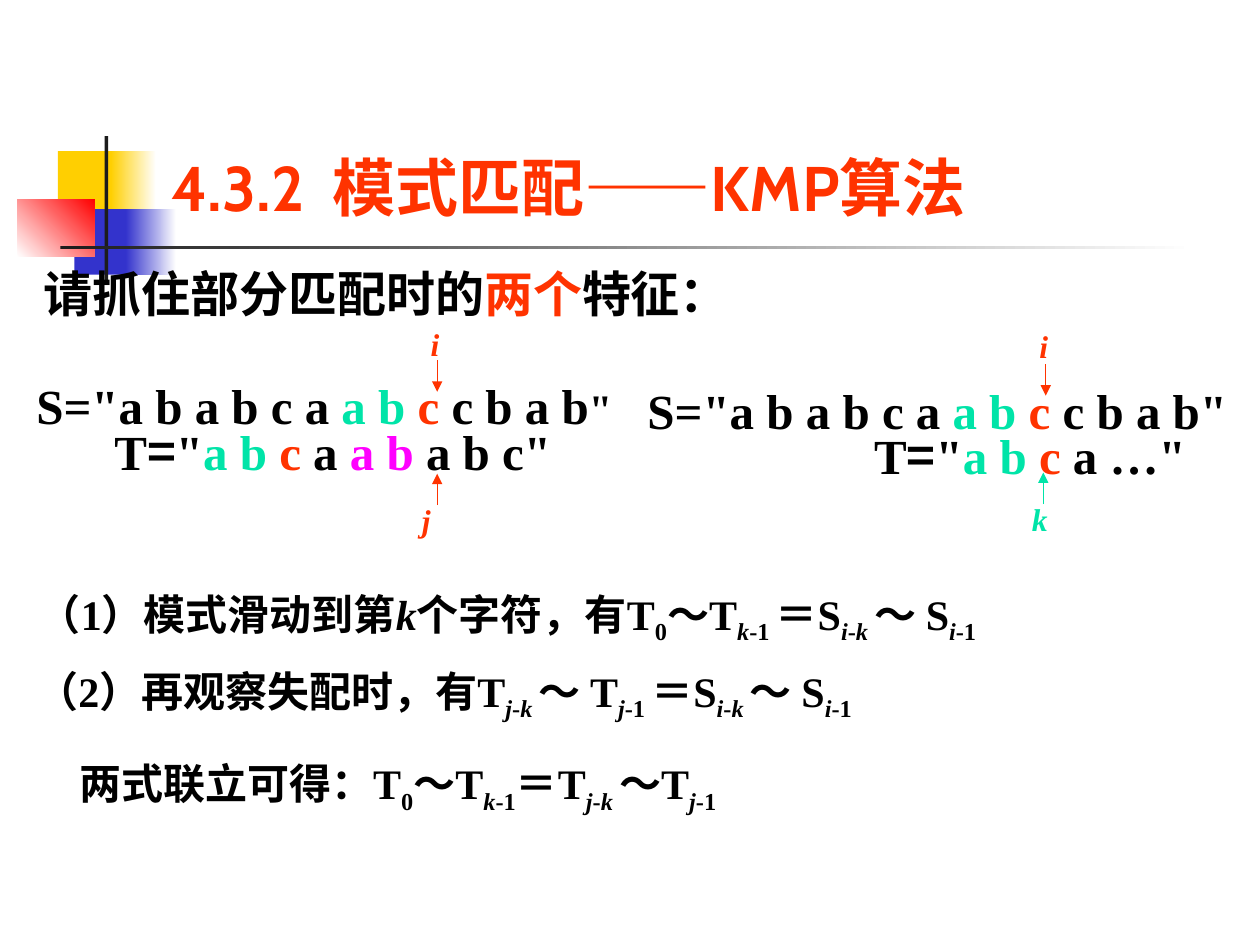
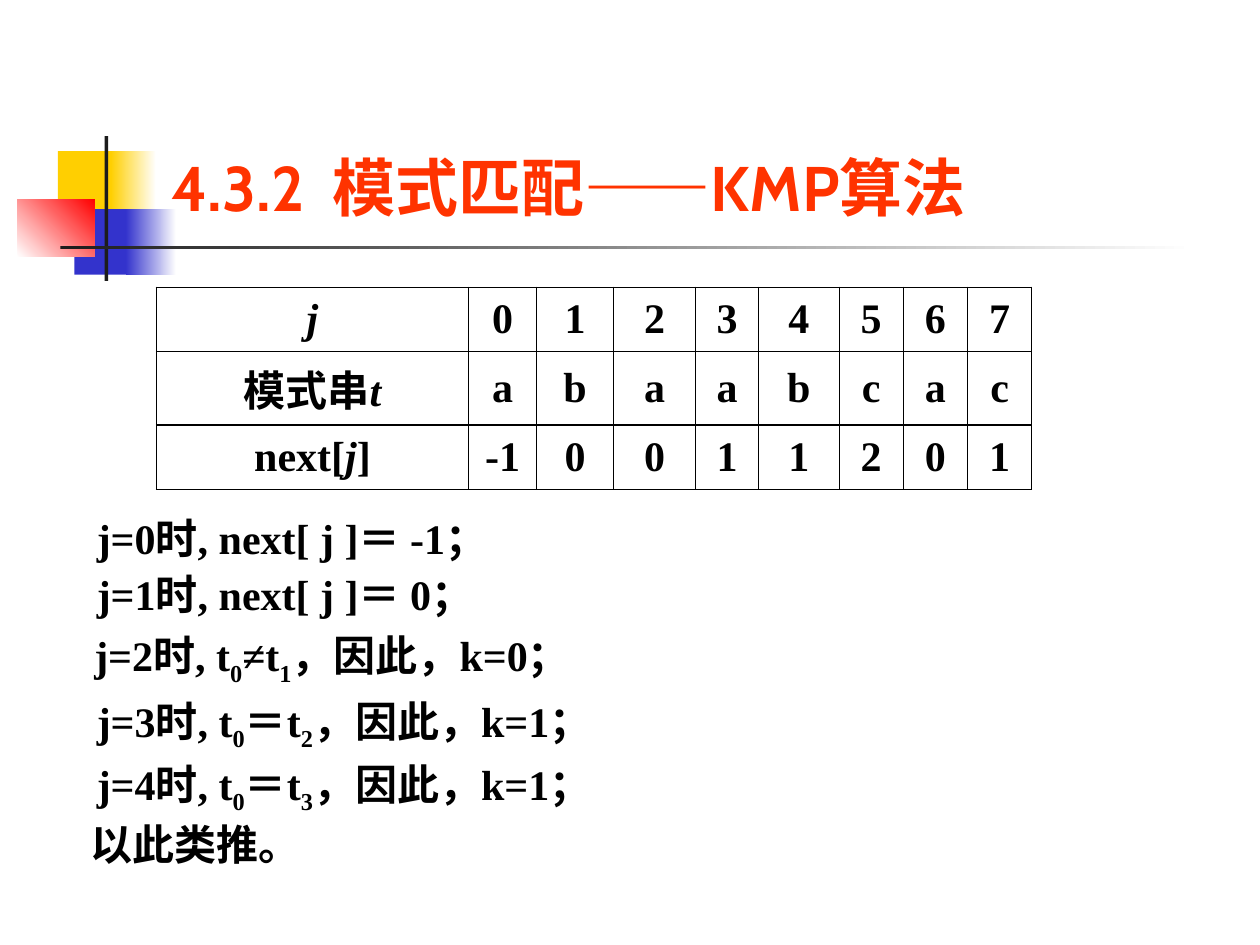
import itertools

import lxml.etree
import pptx
import pptx.dml.color
import pptx.enum.dml
import pptx.enum.shapes
import pptx.enum.text
import pptx.oxml.ns
import pptx.util

Inches = pptx.util.Inches
Pt = pptx.util.Pt

BLACK, WHITE = "000000", "FFFFFF"
RED, GREEN, PINK = "FF3300", "00E4A8", "FF00FF"
GOLD, BLUE, ROSE, DARK = "FFCF01", "3333CC", "FF0000", "1C1C1C"
SERIF, SANS, HEAD = "Times New Roman", "Noto Sans CJK SC", "Cabin"

# left, top, width, height, first colour, last colour, angle
BANDS = [
    (0.46, 1.2, 0.48, 0.52, GOLD, None, 0),
    (0.88, 1.2, 0.36, 0.52, GOLD, WHITE, 0),
    (0.59, 1.66, 0.46, 0.52, BLUE, None, 0),
    (1, 1.66, 0.4, 0.52, BLUE, WHITE, 0),
    (0.14, 1.58, 0.61, 0.46, WHITE, ROSE, 45),
    (0.83, 1.08, 0.03, 1.15, DARK, None, 0),
    (0.48, 1.95, 9, 0.03, DARK, WHITE, 0),
]


def color(code):
    return pptx.dml.color.RGBColor.from_string(code)


def tag(parent, name, **attrs):
    """Append a drawing element to parent."""
    return lxml.etree.SubElement(parent, pptx.oxml.ns.qn("a:" + name), **attrs)


def span(text, **form):
    """A piece of text with its format: size, font, tint, slant, base."""
    return text, form


def term(name, index):
    """A symbol with its index set low, the index letters in italics."""
    parts = itertools.groupby(index, str.isalpha)
    return [span(name)] + [span("".join(chars), slant=slant, base="-25000")
                           for slant, chars in parts]


def write(par, spans, **common):
    for text, form in spans:
        form = {"size": 24, "font": SERIF, "tint": BLACK, "slant": False,
                "base": None, **common, **form}
        run = par.add_run()
        run.text = text
        font = run.font
        font.size = Pt(form["size"])
        font.bold = True
        font.italic = form["slant"]
        font.color.rgb = color(form["tint"])
        font.name = form["font"]
        props = run._r.get_or_add_rPr()
        tag(props, "ea", typeface=SANS)
        if form["base"]:
            props.set("baseline", form["base"])


class Deck:
    def __init__(self):
        self.show = pptx.Presentation()
        self.show.slide_width = Inches(10)
        self.show.slide_height = Inches(7.5)
        self.slide = None

    def start(self):
        """Open a slide with the shared bands and title."""
        self.slide = self.show.slides.add_slide(self.show.slide_layouts[5])
        for band in BANDS:
            self.band(*band)
        self.title([span("4.3.2  模式匹配"), span("——", font="Arial"),
                    span("KMP算法")])

    def band(self, x, y, w, h, first, last, angle):
        shape = self.slide.shapes.add_shape(
            pptx.enum.shapes.MSO_SHAPE.RECTANGLE,
            Inches(x), Inches(y), Inches(w), Inches(h))
        shape.shadow.inherit = False
        shape.line.fill.background()
        if last is None:
            shape.fill.solid()
            shape.fill.fore_color.rgb = color(first)
            return
        shape.fill.gradient()
        shape.fill.gradient_angle = angle
        for stop, code in zip(shape.fill.gradient_stops, (first, last)):
            stop.color.rgb = color(code)

    def title(self, spans):
        title = self.slide.shapes.title
        title.left, title.top = Inches(1.26), Inches(0.23)
        title.width, title.height = Inches(8.52), Inches(1.6)
        frame = title.text_frame
        frame.auto_size = pptx.enum.text.MSO_AUTO_SIZE.NONE
        frame.vertical_anchor = pptx.enum.text.MSO_ANCHOR.BOTTOM
        par = frame.paragraphs[0]
        par.alignment = pptx.enum.text.PP_ALIGN.LEFT
        write(par, spans, size=36, font=HEAD, tint=RED)
        title.element.getparent().append(title.element)  # bring to front

    def text(self, x, y, w, h, *lines, space=None, **form):
        box = self.slide.shapes.add_textbox(
            Inches(x), Inches(y), Inches(w), Inches(h))
        frame = box.text_frame
        frame.word_wrap = True
        frame.auto_size = pptx.enum.text.MSO_AUTO_SIZE.SHAPE_TO_FIT_TEXT
        for n, spans in enumerate(lines):
            par = frame.add_paragraph() if n else frame.paragraphs[0]
            if space:
                par.line_spacing = space
            write(par, spans, **form)

    def arrow(self, x, start, end, tint):
        """An upright arrow at x."""
        line = self.slide.shapes.add_connector(
            pptx.enum.shapes.MSO_CONNECTOR.STRAIGHT,
            Inches(x), Inches(start), Inches(x), Inches(end))
        line.line.color.rgb = color(tint)
        line.line.width = Pt(0.75)
        tag(line.line._get_or_add_ln(), "tailEnd", type="triangle")
        tag(line.element.spPr, "effectLst")

    def mark(self, name, x, y, stem, start, step, tint=RED):
        """An index letter and its arrow."""
        self.text(x, y, 0.35, 0.4, [span(name)], size=18, tint=tint, slant=True)
        self.arrow(stem, start, start + step, tint)

    def table(self, x, y, widths, height, rows):
        frame = self.slide.shapes.add_table(
            len(rows), len(widths), Inches(x), Inches(y),
            Inches(sum(widths)), Inches(height * len(rows)))
        table = frame.table
        table.first_row = table.horz_banding = False
        for col, width in zip(table.columns, widths):
            col.width = Inches(width)
        for r, row in enumerate(rows):
            table.rows[r].height = Inches(height)
            for c, spans in enumerate(row):
                cell = table.cell(r, c)
                cell.vertical_anchor = pptx.enum.text.MSO_ANCHOR.MIDDLE
                par = cell.text_frame.paragraphs[0]
                par.alignment = pptx.enum.text.PP_ALIGN.CENTER
                write(par, spans)
                left = 1 if c == 1 or r == c == 0 else 0.5
                right = 1 if c == 0 else 0.5
                self.edge(cell, L=left, R=right, T=1, B=1)
                cell.fill.background()

    def edge(self, cell, **sides):
        props = cell._tc.get_or_add_tcPr()
        for side, width in sides.items():
            line = tag(props, "ln" + side, w=str(Pt(width)))
            tag(tag(line, "solidFill"), "srgbClr", val=BLACK)


def match(deck):
    """How a partial match lets the pattern slide."""
    deck.start()
    deck.text(0.25, 2.04, 8.33, 0.57,
              [span("请抓住部分匹配时的"), span("两个", tint=RED),
               span("特征：")], size=28)

    source = [span('S="a b a b c a '), span("a b ", tint=GREEN),
              span("c", tint=RED), span(" c b a b")]
    pattern = [span("T"), span("=", font=SANS), span('"'),
               span("a b ", tint=GREEN), span("c", tint=RED)]
    deck.text(0.19, 2.93, 5.14, 0.57, source + [span('"', size=24)], size=28)
    deck.text(0.81, 3.3, 3.91, 0.57,
              pattern + [span(" a "), span("a b", tint=PINK),
                         span(' a b c"')], size=28)
    deck.text(5.04, 2.97, 5.07, 0.57, source + [span('"')], size=28)
    deck.text(6.84, 3.33, 2.94, 0.57, pattern + [span(' a …"')], size=28)
    deck.mark("i", 3.32, 2.53, 3.47, 2.86, 0.25)
    deck.mark("j", 3.25, 3.93, 3.47, 4.01, -0.25)
    deck.mark("i", 8.15, 2.55, 8.3, 2.89, 0.25)
    deck.mark("k", 8.09, 3.92, 8.28, 4, -0.25, GREEN)

    head = term("T", "0") + term("～T", "k-1")
    tail = term("＝S", "i-k ") + term("～ S", "i-1")
    deck.text(0.21, 4.62, 9.15, 0.5,
              [span("（1）模式滑动到第"), span("k", slant=True),
               span("个字符，有")] + head + [span(" ", base="-25000")] + tail)
    deck.text(0.19, 5.23, 8.42, 0.5,
              [span("（2）再观察失配时，有")] + term("T", "j-k ")
              + term("～ T", "j-1 ") + tail)
    deck.text(0.53, 5.94, 9.25, 0.52,
              [span("两式联立可得：")] + head + term("＝T", "j-k ")
              + term("～T", "j-1"), space=1.05)


def steps(deck):
    """The next table and how its values arise."""
    deck.start()
    index = span("j", slant=True)
    heads = [[index], [span("模式串"), span("t", slant=True)],
             [span("next["), index, span("]")]]
    values = ["01234567", "abaabcac", ["-1", *"0011201"]]
    rows = [[head] + [[span(v)] for v in line]
            for head, line in zip(heads, values)]
    deck.table(1.24, 2.28,
               [2.48, 0.54, 0.61, 0.65, 0.5, 0.64, 0.51, 0.51, 0.51],
               0.51, rows)

    deck.text(0.67, 3.98, 9.17, 0.98,
              [span("j=0时, next[ j ]＝ -1；")],
              [span("j=1时, next[ j ]＝ 0；")], space=1.1)
    cases = [(0.65, 4.95, 2, "≠", "1", 0), (0.67, 5.47, 3, "＝", "2", 1),
             (0.67, 5.97, 4, "＝", "3", 1)]
    for x, y, j, sign, other, k in cases:
        deck.text(x, y, 8.83, 0.5,
                  term(f"j={j}时, t", "0") + term(sign + "t", other)
                  + [span(f"，因此，k={k}；")])
    deck.text(0.62, 6.45, 6.03, 0.5, [span("以此类推。")])


def main():
    deck = Deck()
    match(deck)
    steps(deck)
    deck.show.save("out.pptx")


if __name__ == "__main__":
    main()
